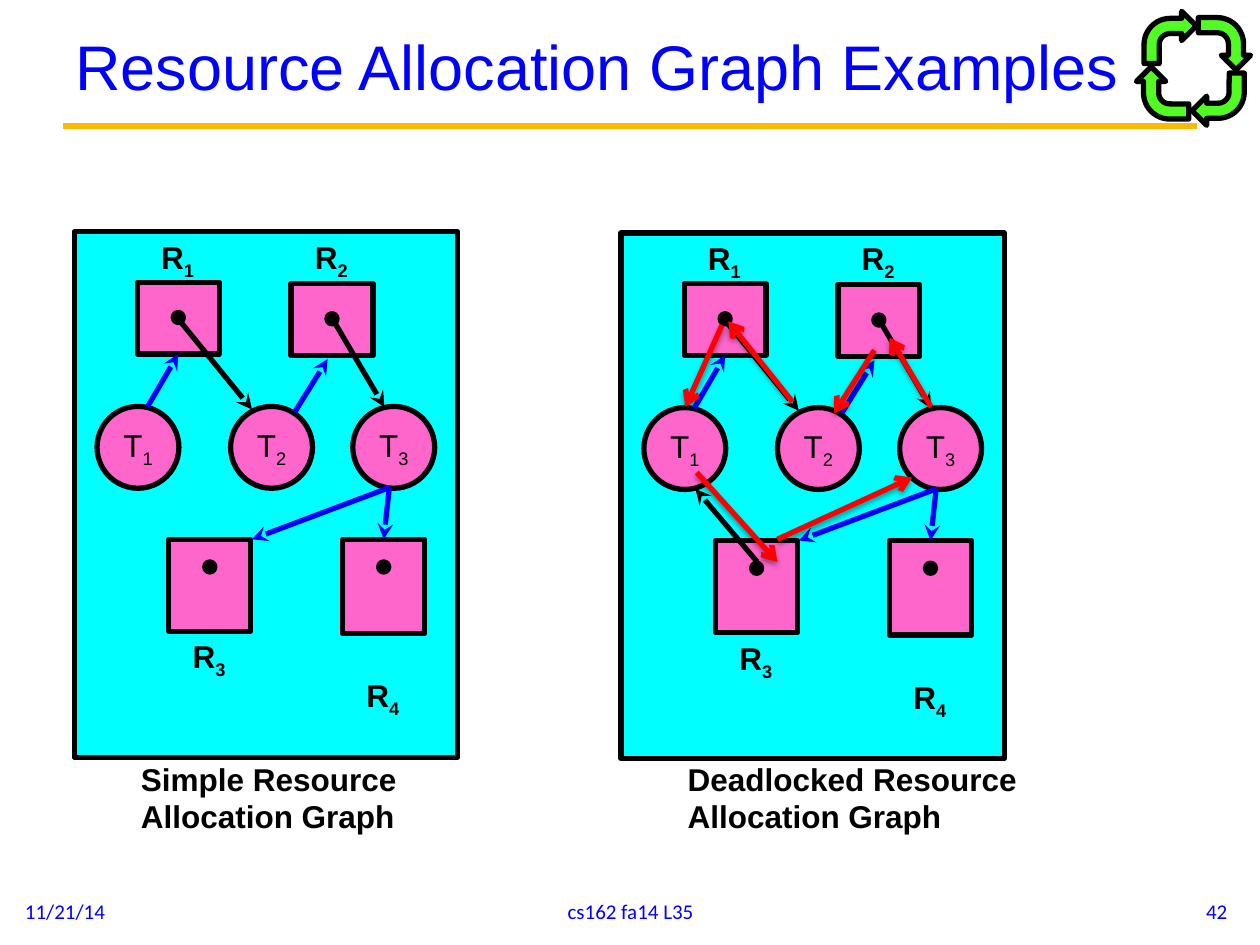
from lxml import etree
from pptx import Presentation
from pptx.dml.color import RGBColor
from pptx.enum.shapes import MSO_CONNECTOR, MSO_SHAPE
from pptx.enum.text import MSO_ANCHOR, PP_ALIGN
from pptx.oxml.ns import qn
from pptx.util import Inches, Pt

RECT, OVAL, BENT = MSO_SHAPE.RECTANGLE, MSO_SHAPE.OVAL, MSO_SHAPE.BENT_ARROW
TOP, MIDDLE = MSO_ANCHOR.TOP, MSO_ANCHOR.MIDDLE
LEFT, CENTER, RIGHT = PP_ALIGN.LEFT, PP_ALIGN.CENTER, PP_ALIGN.RIGHT
SIDE_TOP, SIDE_BOTTOM = 0, 2

BLACK = RGBColor(0, 0, 0)
BLUE = RGBColor(0, 0, 0xFF)
RED = RGBColor(0xFF, 0, 0)
GOLD = RGBColor(0xFB, 0xBA, 0x03)
CYAN = RGBColor(0, 0xFF, 0xFF)
PINK = RGBColor(0xFF, 0x66, 0xCC)
GREEN = RGBColor(0x53, 0xFB, 0x25)

deck = Presentation()
deck.slide_width, deck.slide_height = Inches(10), Inches(7.5)
page = deck.slides.add_slide(deck.slide_layouts[6])

# The page is a grid of 100 columns and 75 rows
COL, ROW = deck.slide_width / 100, deck.slide_height / 75


def grid(left, top, width, height):
    """Turn columns and rows into lengths."""
    return int(left * COL), int(top * ROW), int(width * COL), int(height * ROW)


def draw(shapes, kind, place, color, width=3, head=None):
    """Add a filled shape at left, top, width, height, or a line (kind None) from x, y to x, y."""
    if kind is None:
        item = shapes.add_connector(MSO_CONNECTOR.STRAIGHT, *grid(*place))
        item.line.color.rgb = color
        effects = etree.SubElement(item._element.spPr, qn("a:effectLst"))
        if head:
            etree.SubElement(item.line._get_or_add_ln(), qn("a:tailEnd"), type=head)
        if color == RED:
            shadow = etree.SubElement(effects, qn("a:outerShdw"), blurRad=str(Pt(3.1)),
                                      dist=str(Pt(1.6)), dir="5400000", rotWithShape="0")
            shade = etree.SubElement(shadow, qn("a:srgbClr"), val=str(BLACK))
            etree.SubElement(shade, qn("a:alpha"), val="38000")
    else:
        item = shapes.add_shape(kind, *grid(*place))
        item.shadow.inherit = False
        item.fill.solid()
        item.fill.fore_color.rgb = color
        item.line.color.rgb = BLACK
    item.line.width = Pt(width)
    return item


# Each entry: box, lines of (text, subscript), size, font, color, bold, wrap, anchor, alignment
texts = []

draw(page.shapes, None, (5, 10, 95, 10), GOLD, 3.75)
title = page.shapes.add_textbox(*grid(5, 0.4, 90, 9.6))
texts.append((title, [("Resource Allocation Graph Examples", "")],
              36, "Arial", BLUE, False, True, MIDDLE, LEFT))

# Cycle of four bent arrows
cycle = page.shapes.add_group_shape().shapes
for left, top, turn in ((90.8, 0.9, 0), (95.1, 1.4, 90), (90.2, 5.3, 270), (94.6, 5.8, 180)):
    arrow = draw(cycle, BENT, (left, top, 4.15, 4.15), GREEN)
    arrow.rotation = turn
    for index, share in enumerate((0.29, 0.28, 0.28, 0.5)):
        arrow.adjustments[index] = share

# Places inside a panel, measured from the panel's corner
THREADS = (("1", 1.8), ("2", 12.4), ("3", 22.1))
# name, left, top, height, dot drop, label top
RESOURCES = (("1", 5, 4, 5.7, 2.4, 0), ("2", 17.2, 4.1, 5.7, 2.4, 0),
             ("3", 7.5, 24.4, 7.3, 1.8, 31.7), ("4", 21.3, 24.4, 7.5, 1.8, 34.8))
# from x, y, to x, y, color, resource whose side the arrow meets, side
EDGES = ((5.8, 13.9, 8.25, 9.7, BLUE, "1", SIDE_BOTTOM),
         (8.4, 7.1, 14.1, 14.1, BLACK, None, None),
         (17.5, 14.3, 20.1, 10.1, BLUE, None, None),
         (20.6, 7.1, 24.6, 13.9, BLACK, None, None),
         (25, 20.3, 24.55, 24.4, BLUE, "4", SIDE_TOP))
NODE = 6.5
DOT = 0.8

for panel_left, panel_top, caption, caption_width in (
        (5.9, 18.4, "Simple Resource", 22.5), (49.3, 18.5, "Deadlocked Resource", 28.4)):
    graph = page.shapes.add_group_shape().shapes
    draw(graph, RECT, (panel_left, panel_top, 30.4, 41.7), CYAN)
    for name, left in THREADS:
        circle = draw(graph, OVAL, (panel_left + left, panel_top + 13.85, NODE, NODE), PINK)
        texts.append((circle, [("T", name)], 18, "Arial", BLACK, False, False, MIDDLE, CENTER))
    squares = {}
    for name, left, top, height, drop, label_top in RESOURCES:
        x, y = panel_left + left, panel_top + top
        squares[name] = draw(graph, RECT, (x, y, NODE, height), PINK)
        draw(graph, OVAL, (x + (NODE - DOT) / 2, y + drop, DOT, DOT), BLACK)
        label = graph.add_textbox(*grid(x + 0.9, panel_top + label_top, 4.8, 4))
        texts.append((label, [("R", name)], 18, "Arial", BLACK, True, False, TOP, LEFT))
    for x1, y1, x2, y2, color, name, side in EDGES:
        edge = draw(graph, None, (panel_left + x1, panel_top + y1, panel_left + x2, panel_top + y2),
                    color, head="stealth")
        if name:
            edge.end_connect(squares[name], side)
    draw(page.shapes, None, (panel_left + 25, panel_top + 20.3, panel_left + 14.1, panel_top + 24.4),
         BLUE, head="stealth")
    box = page.shapes.add_textbox(*grid(panel_left + 4.3, 59.8, caption_width, 7.1))
    texts.append((box, [(caption, ""), ("Allocation Graph", "")],
                  18, "Arial", BLACK, True, False, TOP, LEFT))

# Resource 3 is held by thread 1, which closes the deadlock marked in red
draw(page.shapes, None, (60.1, 44.6, 55.2, 38.8), BLACK, head="stealth")
for place in ((55.3, 37.5, 61.7, 44.6), (61.7, 42.8, 72.4, 37.9), (73.9, 32.3, 70.6, 26.8),
              (69.4, 27.8, 66.2, 32.8), (62.9, 31.9, 57.8, 25.5), (57.3, 25.8, 54.4, 32.3)):
    draw(page.shapes, None, place, RED, head="arrow")

for left, width, words, align in ((1, 23.3, "11/21/14", LEFT), (34.2, 31.7, "cs162 fa14 L35", CENTER),
                                  (75.1, 23.3, "42", RIGHT)):
    footer = page.shapes.add_textbox(*grid(left, 70.3, width, 4))
    texts.append((footer, [(words, "")], 12, "Calibri", BLUE, False, True, MIDDLE, align))

for box, lines, size, font, color, bold, wrap, anchor, align in texts:
    frame = box.text_frame
    frame.word_wrap = wrap
    frame.vertical_anchor = anchor
    for number, line in enumerate(lines):
        para = frame.add_paragraph() if number else frame.paragraphs[0]
        para.alignment = align
        for words, baseline in zip(line, (None, "-25000")):
            if not words:
                continue
            span = para.add_run()
            span.text = words
            span.font.size = Pt(size)
            span.font.name = font
            span.font.bold = bold
            span.font.color.rgb = color
            if baseline:
                span.font._element.set("baseline", baseline)

deck.save("out.pptx")
